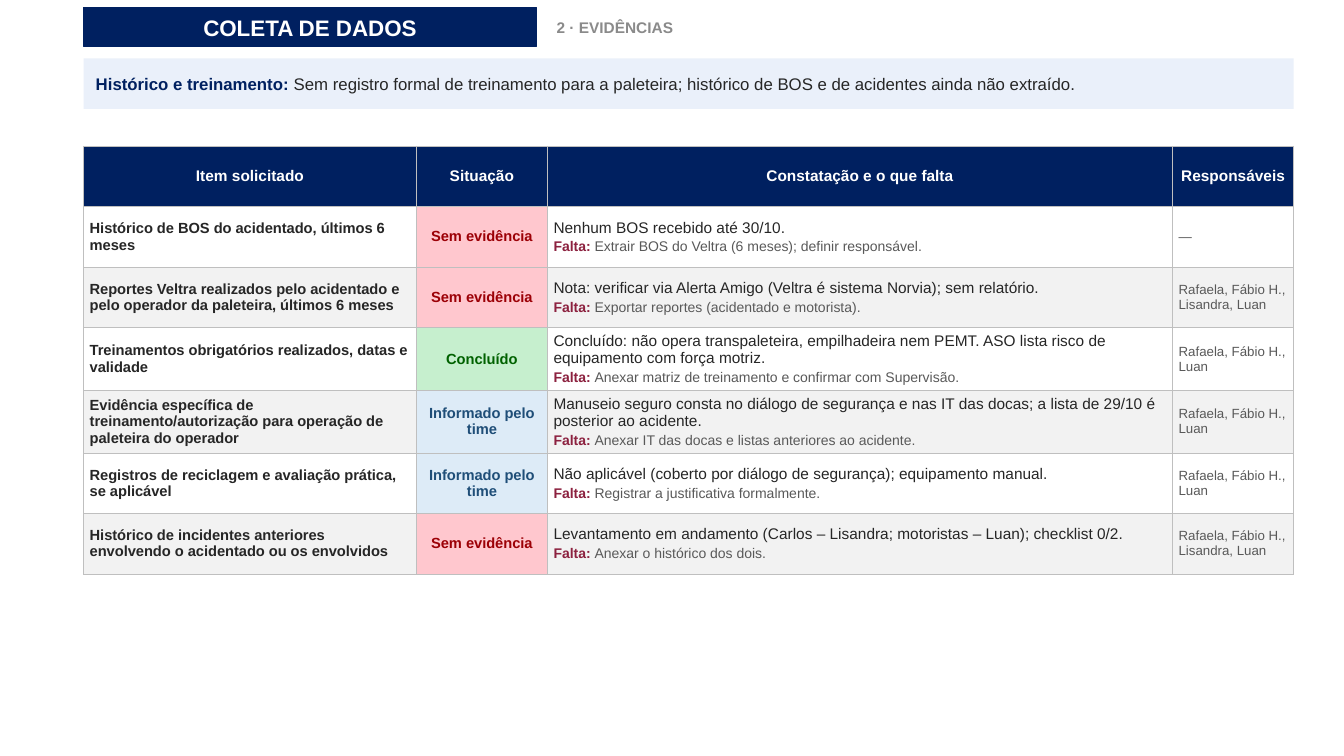
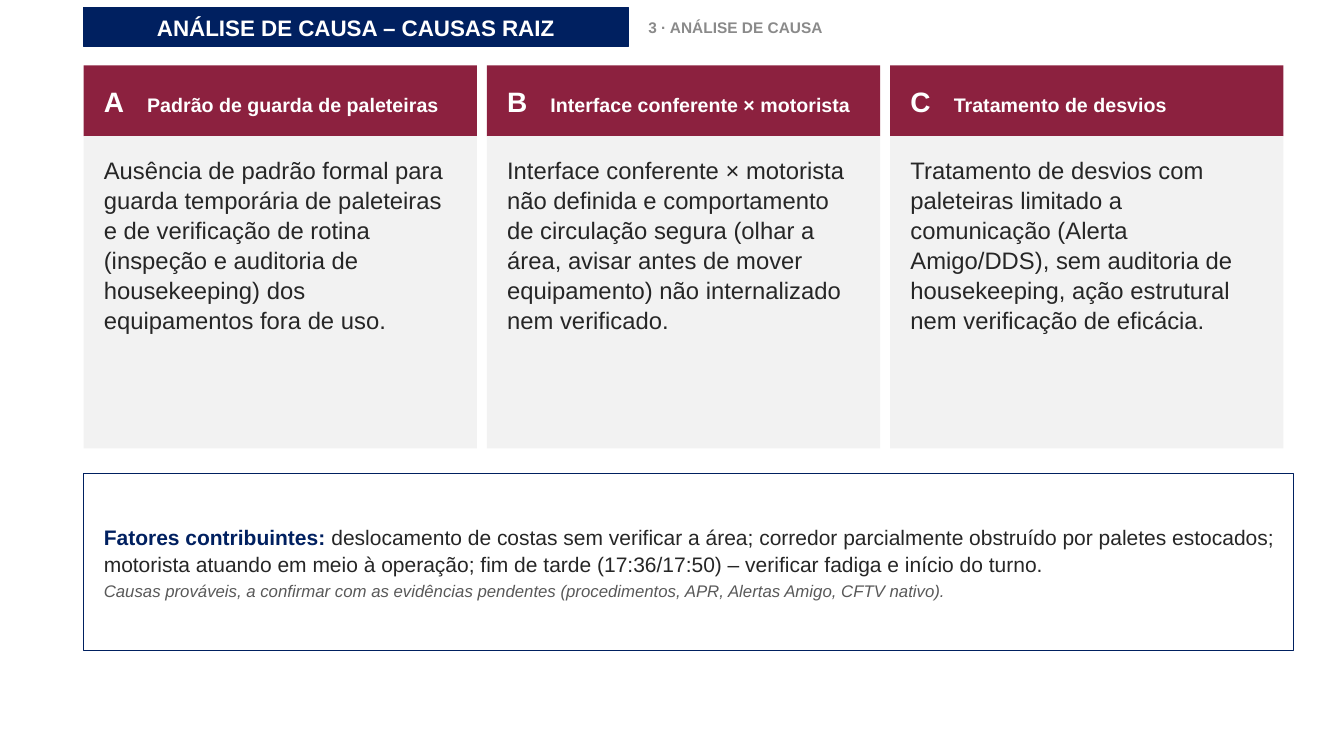
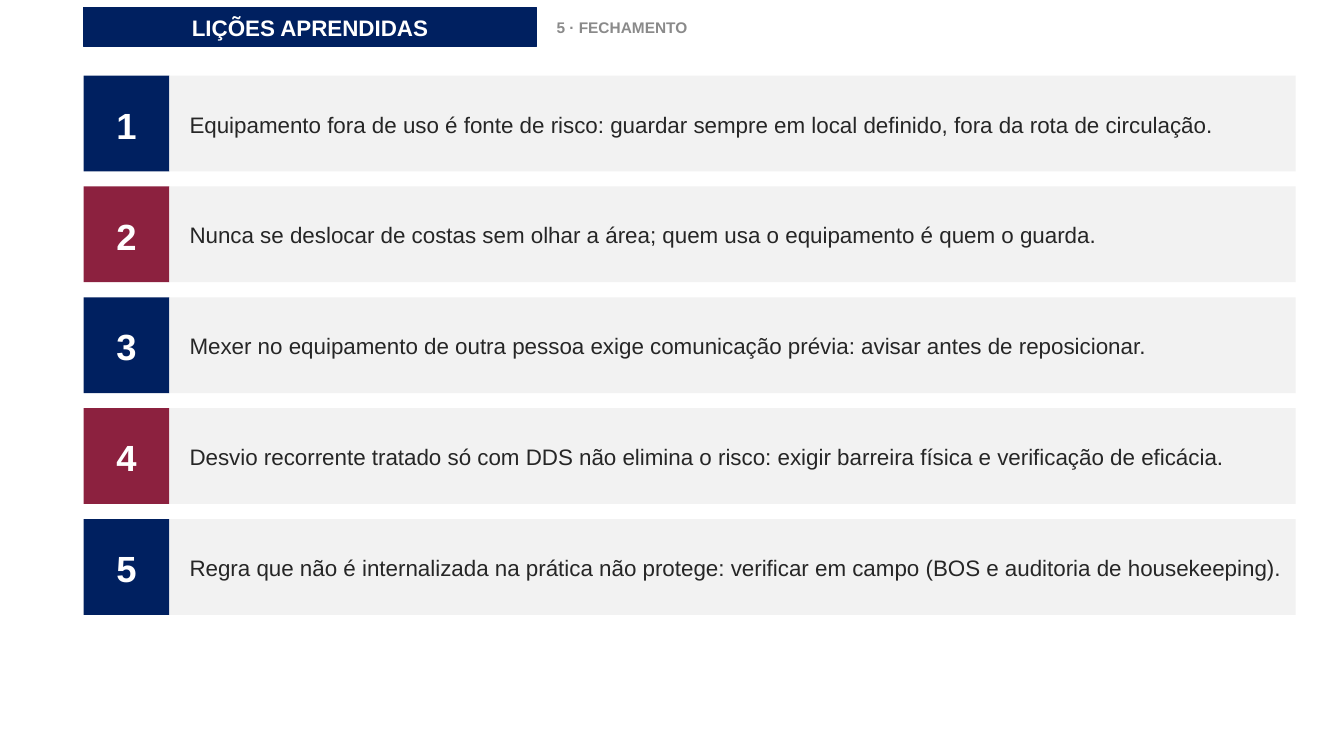
import pptx
import pptx.dml.color
import pptx.enum.shapes
import pptx.enum.text
import pptx.oxml
import pptx.oxml.ns
import pptx.util
from dataclasses import dataclass

Inches, Pt = pptx.util.Inches, pptx.util.Pt
ALIGN, ANCHOR = pptx.enum.text.PP_ALIGN, pptx.enum.text.MSO_ANCHOR
NS = pptx.oxml.ns.nsdecls("a")


@dataclass(frozen=True)
class Theme:
    font: str = "Arial"
    # colours
    white: str = "FFFFFF"
    navy: str = "002060"
    wine: str = "8C213F"
    ink: str = "262626"
    muted: str = "595959"
    tag: str = "8A8A8A"
    panel: str = "F2F2F2"
    note: str = "EAF0FA"
    grid: str = "BFBFBF"
    # type sizes
    title: float = 16
    small: float = 11
    item: float = 10.5
    gap: float = 10
    owner: float = 9.5
    summary: float = 12
    body: float = 17
    factors: float = 15
    letter: float = 20
    card: float = 14
    number: float = 26
    # layout in inches
    left: float = 0.83
    width: float = 12


T = Theme()
STATUS = {  # text colour, fill
    "Sem evidência": ("9C0006", "FFC7CE"),
    "Concluído": ("006100", "C6EFCE"),
    "Informado pelo time": ("1F4E78", "DDEBF7"),
}


def rgb(value):
    return pptx.dml.color.RGBColor.from_string(value)


def add_run(p, text, size=T.small, color=T.ink, bold=False, italic=False):
    r = p.add_run()
    r.text = text
    f = r.font
    f.name, f.size, f.bold, f.italic = T.font, Pt(size), bold, italic
    f.color.rgb = rgb(color)


def fill_text(tf, paragraphs, align=ALIGN.LEFT, after=2, spacing=None, tab=None):
    """Each paragraph is a list of (text, format) runs."""
    for i, runs in enumerate(paragraphs):
        p = tf.paragraphs[0] if i == 0 else tf.add_paragraph()
        p.alignment, p.space_after = align, Pt(after)
        if spacing:
            p.line_spacing = spacing
        if tab:
            p._p.get_or_add_pPr().append(pptx.oxml.parse_xml(
                f'<a:tabLst {NS}><a:tab pos="{Inches(tab)}" algn="l"/></a:tabLst>'))
        for text, fmt in runs:
            add_run(p, text, **fmt)


def set_margins(obj, left, top, right, bottom):
    obj.margin_left, obj.margin_top = Inches(left), Inches(top)
    obj.margin_right, obj.margin_bottom = Inches(right), Inches(bottom)


class Deck:
    def __init__(self):
        self.prs = pptx.Presentation()
        self.prs.slide_width, self.prs.slide_height = Inches(13.33), Inches(7.5)
        self.s = None

    def slide(self, title, section, width=4.49):
        """Start a slide with its title band and section tag."""
        self.s = self.prs.slides.add_slide(self.prs.slide_layouts[6])
        self.box(T.left, 0.07, width, 0.39, T.navy,
                 [[(title, dict(size=T.title, color=T.white, bold=True))]],
                 line=T.navy, align=ALIGN.CENTER)
        self.text(T.left + width + 0.15, 0.07, 3, 0.39,
                  [[(section, dict(color=T.tag, bold=True))]], ANCHOR.MIDDLE)

    def box(self, x, y, w, h, fill, paragraphs=(), line=None, inset=0.08,
            align=ALIGN.LEFT, tab=None):
        sp = self.s.shapes.add_shape(pptx.enum.shapes.MSO_SHAPE.RECTANGLE,
                                     Inches(x), Inches(y), Inches(w), Inches(h))
        sp.shadow.inherit = False
        sp.fill.solid()
        sp.fill.fore_color.rgb = rgb(fill)
        if line:
            sp.line.color.rgb, sp.line.width = rgb(line), Pt(0.75)
        else:
            sp.line.fill.background()
        tf = sp.text_frame
        tf.word_wrap, tf.vertical_anchor = True, ANCHOR.MIDDLE
        set_margins(tf, inset, 0.05, 0.08, 0.05)
        fill_text(tf, paragraphs, align, spacing=1.05, tab=tab)

    def text(self, x, y, w, h, paragraphs, anchor=ANCHOR.TOP):
        tf = self.s.shapes.add_textbox(
            Inches(x), Inches(y), Inches(w), Inches(h)).text_frame
        tf.word_wrap, tf.vertical_anchor = True, anchor
        set_margins(tf, 0.05, 0.03, 0.05, 0.03)
        fill_text(tf, paragraphs, after=4, spacing=1.05)

    def cell(self, cell, fill, paragraphs, align=ALIGN.LEFT, after=0):
        tc_pr = cell._tc.get_or_add_tcPr()
        for side in "LRTB":
            tc_pr.append(pptx.oxml.parse_xml(
                f'<a:ln{side} {NS} w="{Pt(0.5)}"><a:solidFill>'
                f'<a:srgbClr val="{T.grid}"/></a:solidFill></a:ln{side}>'))
        cell.fill.solid()
        cell.fill.fore_color.rgb = rgb(fill)
        cell.vertical_anchor = ANCHOR.MIDDLE
        set_margins(cell, 0.06, 0.03, 0.06, 0.03)
        fill_text(cell.text_frame, paragraphs, align, after)

    def evidence_table(self, y, widths, row_height, header, rows):
        count = len(rows) + 1
        table = self.s.shapes.add_table(
            count, len(widths), Inches(T.left), Inches(y),
            Inches(sum(widths)), Inches(row_height * count)).table
        table.first_row = table.horz_banding = False
        for column, width in zip(table.columns, widths):
            column.width = Inches(width)
        for row in table.rows:
            row.height = Inches(row_height)
        for c, label in enumerate(header):
            self.cell(table.cell(0, c), T.navy,
                      [[(label, dict(color=T.white, bold=True))]], ALIGN.CENTER)
        for i, (item, status, finding, missing, owners) in enumerate(rows, 1):
            band = T.white if i % 2 else T.panel
            color, status_fill = STATUS[status]
            self.cell(table.cell(i, 0), band, [[(item, dict(size=T.item, bold=True))]])
            self.cell(table.cell(i, 1), status_fill,
                      [[(status, dict(size=T.item, color=color, bold=True))]], ALIGN.CENTER)
            self.cell(table.cell(i, 2), band, [
                [(finding, {})],
                [("Falta: ", dict(size=T.gap, color=T.wine, bold=True)),
                 (missing, dict(size=T.gap, color=T.muted))]], after=2)
            self.cell(table.cell(i, 3), band,
                      [[(owners, dict(size=T.owner, color=T.muted))]])

    def cause_card(self, x, letter, heading, body, width=3.9):
        self.box(x, 0.65, width, 0.7, T.wine, [
            [(letter + "\t", dict(size=T.letter, color=T.white, bold=True)),
             (heading, dict(size=T.card, color=T.white, bold=True))]], inset=0.2, tab=0.43)
        self.box(x, 1.35, width, 3.1, T.panel)
        self.text(x + 0.15, 1.5, width - 0.3, 2.9, [[(body, dict(size=T.body))]])

    def lesson(self, y, number, text, color):
        self.box(T.left, y, 0.85, 0.95, color,
                 [[(str(number), dict(size=T.number, color=T.white, bold=True))]],
                 align=ALIGN.CENTER)
        self.box(T.left + 0.85, y, 11.17, 0.95, T.panel,
                 [[(text, dict(size=T.title))]], inset=0.2)


EVIDENCE = [
    ("Histórico de BOS do acidentado, últimos 6 meses", "Sem evidência",
     "Nenhum BOS recebido até 30/10.",
     "Extrair BOS do Veltra (6 meses); definir responsável.", "—"),
    ("Reportes Veltra realizados pelo acidentado e pelo operador da paleteira, últimos 6 meses",
     "Sem evidência",
     "Nota: verificar via Alerta Amigo (Veltra é sistema Norvia); sem relatório.",
     "Exportar reportes (acidentado e motorista).", "Rafaela, Fábio H., Lisandra, Luan"),
    ("Treinamentos obrigatórios realizados, datas e validade", "Concluído",
     "Concluído: não opera transpaleteira, empilhadeira nem PEMT. ASO lista risco de "
     "equipamento com força motriz.",
     "Anexar matriz de treinamento e confirmar com Supervisão.", "Rafaela, Fábio H., Luan"),
    ("Evidência específica de treinamento/autorização para operação de paleteira do operador",
     "Informado pelo time",
     "Manuseio seguro consta no diálogo de segurança e nas IT das docas; a lista de 29/10 é "
     "posterior ao acidente.",
     "Anexar IT das docas e listas anteriores ao acidente.", "Rafaela, Fábio H., Luan"),
    ("Registros de reciclagem e avaliação prática, se aplicável", "Informado pelo time",
     "Não aplicável (coberto por diálogo de segurança); equipamento manual.",
     "Registrar a justificativa formalmente.", "Rafaela, Fábio H., Luan"),
    ("Histórico de incidentes anteriores envolvendo o acidentado ou os envolvidos",
     "Sem evidência",
     "Levantamento em andamento (Carlos – Lisandra; motoristas – Luan); checklist 0/2.",
     "Anexar o histórico dos dois.", "Rafaela, Fábio H., Lisandra, Luan"),
]

CAUSES = [
    ("A", "Padrão de guarda de paleteiras",
     "Ausência de padrão formal para guarda temporária de paleteiras e de verificação de "
     "rotina (inspeção e auditoria de housekeeping) dos equipamentos fora de uso."),
    ("B", "Interface conferente × motorista",
     "Interface conferente × motorista não definida e comportamento de circulação segura "
     "(olhar a área, avisar antes de mover equipamento) não internalizado nem verificado."),
    ("C", "Tratamento de desvios",
     "Tratamento de desvios com paleteiras limitado a comunicação (Alerta Amigo/DDS), sem "
     "auditoria de housekeeping, ação estrutural nem verificação de eficácia."),
]

LESSONS = [
    "Equipamento fora de uso é fonte de risco: guardar sempre em local definido, fora da rota "
    "de circulação.",
    "Nunca se deslocar de costas sem olhar a área; quem usa o equipamento é quem o guarda.",
    "Mexer no equipamento de outra pessoa exige comunicação prévia: avisar antes de reposicionar.",
    "Desvio recorrente tratado só com DDS não elimina o risco: exigir barreira física e "
    "verificação de eficácia.",
    "Regra que não é internalizada na prática não protege: verificar em campo (BOS e auditoria "
    "de housekeeping).",
]


def main():
    deck = Deck()

    # Evidence table
    deck.slide("COLETA DE DADOS", "2 · EVIDÊNCIAS")
    deck.box(T.left, 0.58, T.width, 0.5, T.note, [
        [("Histórico e treinamento: ", dict(size=T.summary, color=T.navy, bold=True)),
         ("Sem registro formal de treinamento para a paleteira; histórico de BOS e de "
          "acidentes ainda não extraído.", dict(size=T.summary))]], inset=0.12)
    deck.evidence_table(
        1.45, (3.3, 1.3, 6.2, 1.2), 0.6,
        ("Item solicitado", "Situação", "Constatação e o que falta", "Responsáveis"), EVIDENCE)

    # Root causes
    deck.slide("ANÁLISE DE CAUSA – CAUSAS RAIZ", "3 · ANÁLISE DE CAUSA", width=5.4)
    for i, cause in enumerate(CAUSES):
        deck.cause_card(T.left + 4 * i, *cause)
    deck.box(T.left, 4.7, T.width, 1.75, T.white, [
        [("Fatores contribuintes: ", dict(size=T.factors, color=T.navy, bold=True)),
         ("deslocamento de costas sem verificar a área; corredor parcialmente obstruído por "
          "paletes estocados; motorista atuando em meio à operação; fim de tarde (17:36/17:50) "
          "– verificar fadiga e início do turno.", dict(size=T.factors))],
        [("Causas prováveis, a confirmar com as evidências pendentes (procedimentos, APR, "
          "Alertas Amigo, CFTV nativo).",
          dict(size=T.summary, color=T.muted, italic=True))]], line=T.navy, inset=0.2)

    # Lessons learned
    deck.slide("LIÇÕES APRENDIDAS", "5 · FECHAMENTO")
    for i, text in enumerate(LESSONS):
        deck.lesson(0.75 + 1.1 * i, i + 1, text, T.wine if i % 2 else T.navy)

    deck.prs.save("out.pptx")


if __name__ == "__main__":
    main()
